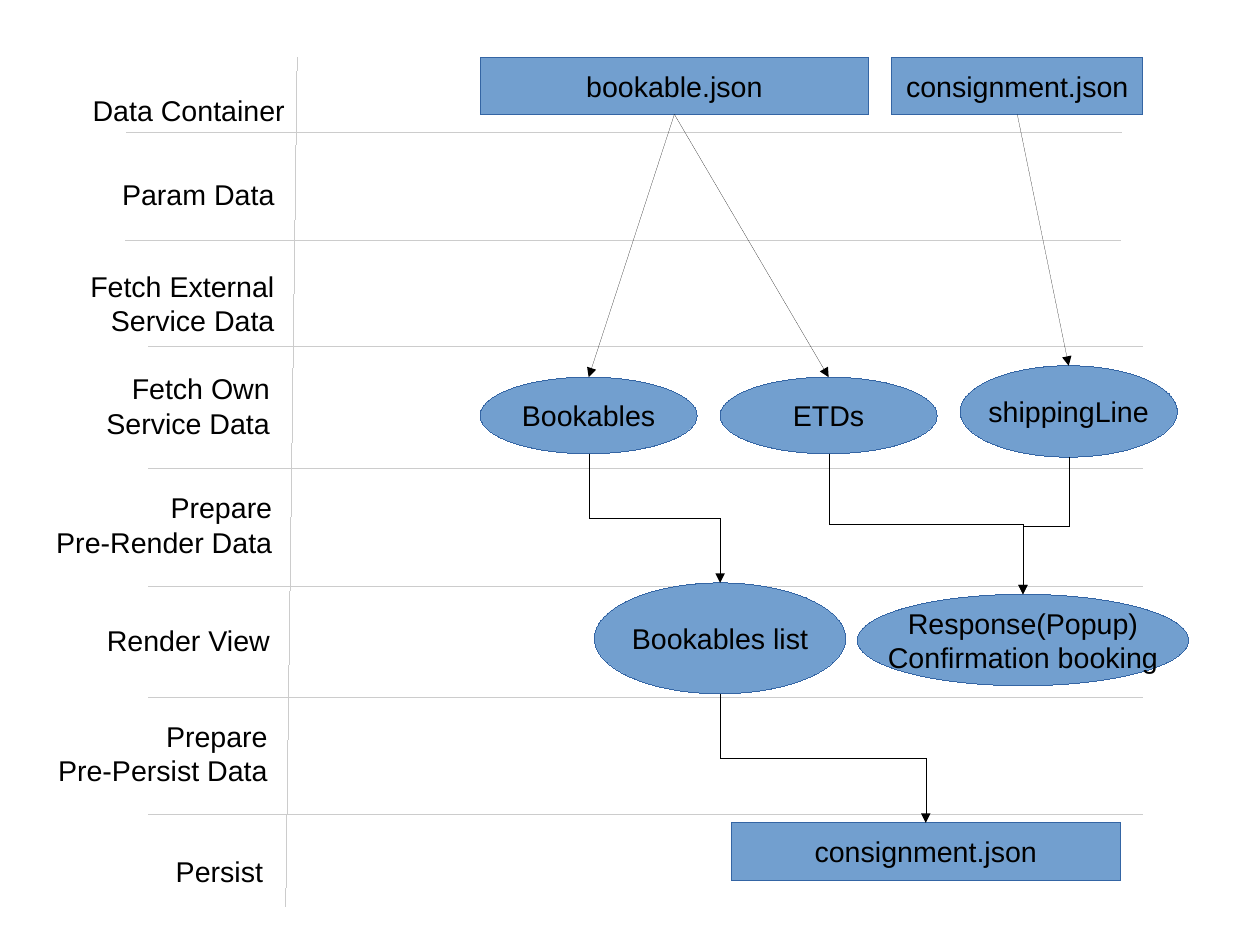
from typing import NamedTuple

from pptx import Presentation
from pptx.dml.color import RGBColor
from pptx.enum.shapes import MSO_CONNECTOR as Link, MSO_SHAPE as Form
from pptx.enum.text import MSO_ANCHOR as Anchor, PP_ALIGN as Align
from pptx.oxml.ns import qn
from pptx.util import Cm, Inches, Pt
from lxml.etree import SubElement

# Grid: square cells, ten columns or rows to the inch
CELL = 0.1
LABEL_COLS = 23
TOP, BOTTOM = 0, 2
BLACK, RULE, FILL, EDGE = "000000", "CCCCCC", "729FCF", "3465A4"


class Label(NamedTuple):
    text: str
    right: float
    row: float
    rows: float


class Divider(NamedTuple):
    col: float
    row: float


class Node(NamedTuple):
    text: str
    form: Form
    col: float
    row: float
    cols: float
    rows: float

    @property
    def center(self) -> float:
        return self.col + self.cols / 2

    @property
    def bottom(self) -> float:
        return self.row + self.rows


LABELS = [
    Label("Data Container", 25.9, 7.6, 4),
    Label("Param Data", 25, 15, 3.8),
    Label("Fetch External\nService Data", 25, 23, 6.6),
    Label("Fetch Own\nService Data", 24.6, 32, 6.6),
    Label("Prepare\nPre-Render Data", 24.8, 42.4, 6.6),
    Label("Render View", 24.6, 54, 3.8),
    Label("Prepare\nPre-Persist Data", 24.4, 62.4, 6.6),
    Label("Persist", 24, 74.2, 3.8),
]
DIVIDER_COLS = 87
DIVIDERS = [
    Divider(11.1, 11.6), Divider(11, 21), Divider(13, 30.3), Divider(13, 41),
    Divider(13, 51.3), Divider(13, 61), Divider(13, 71.3),
]
NODES = {
    "bookable": Node("bookable.json", Form.RECTANGLE, 42, 5, 34, 5),
    "consignment": Node("consignment.json", Form.RECTANGLE, 78, 5, 22, 5),
    "bookables": Node("Bookables", Form.OVAL, 42, 33, 19, 6.7),
    "etds": Node("ETDs", Form.OVAL, 63, 33, 19, 6.7),
    "shipping": Node("shippingLine", Form.OVAL, 84, 32, 19, 8),
    "list": Node("Bookables list", Form.OVAL, 52, 51, 22, 9.7),
    "response": Node("Response(Popup)\nConfirmation booking",
                     Form.OVAL, 75, 52, 29, 8),
    "persisted": Node("consignment.json", Form.RECTANGLE, 64, 72, 34, 5),
}
FETCHES = [("consignment", "shipping"), ("bookable", "etds"), ("bookable", "bookables")]
FLOWS = [("bookables", "list"), ("etds", "response"),
         ("shipping", "response"), ("list", "persisted")]


def grid(cells: float) -> Inches:
    return Inches(cells * CELL)


def color(hex_code: str) -> RGBColor:
    return RGBColor.from_string(hex_code)


def write(frame, text: str, *, align=Align.CENTER, anchor=Anchor.MIDDLE,
          wrap=False, size=18, font="Arial", ink=BLACK) -> None:
    frame.text = text
    frame.word_wrap = wrap
    frame.vertical_anchor = anchor
    for paragraph in frame.paragraphs:
        paragraph.alignment = align
        paragraph.font.size = Pt(size)
        paragraph.font.name = font
        paragraph.font.color.rgb = color(ink)


def set_hairline(shape, ink: str):
    """Colour the stroke; a zero width has to be written out in the XML."""
    shape.line.color.rgb = color(ink)
    stroke = shape._element.spPr.find(qn("a:ln"))
    stroke.set("w", "0")
    return stroke


def draw_label(slide, label: Label) -> None:
    box = slide.shapes.add_textbox(grid(label.right - LABEL_COLS), grid(label.row),
                                   grid(LABEL_COLS), grid(label.rows))
    write(box.text_frame, label.text, align=Align.RIGHT, anchor=Anchor.TOP, wrap=True)


def draw_node(slide, node: Node):
    shape = slide.shapes.add_shape(node.form, grid(node.col), grid(node.row),
                                   grid(node.cols), grid(node.rows))
    shape.shadow.inherit = False
    shape.fill.solid()
    shape.fill.fore_color.rgb = color(FILL)
    set_hairline(shape, EDGE)
    write(shape.text_frame, node.text)
    return shape


def draw_line(slide, x1: float, y1: float, x2: float, y2: float, *,
              ink=RULE, kind=Link.STRAIGHT, arrow=False):
    line = slide.shapes.add_connector(kind, grid(x1), grid(y1), grid(x2), grid(y2))
    stroke = set_hairline(line, ink)
    if arrow:
        SubElement(stroke, qn("a:tailEnd"), type="triangle")
    SubElement(line._element.spPr, qn("a:effectLst"))
    return line


def draw_flow(slide, source: Node, target: Node) -> None:
    """Step down, across and down: an elbow turned by a quarter."""
    across = target.center - source.center
    drop = target.row - source.bottom
    mid_x = (source.center + target.center) / 2
    mid_y = (source.bottom + target.row) / 2
    side = 1 if across > 0 else -1
    elbow = draw_line(slide, mid_x + side * drop / 2, mid_y - abs(across) / 2,
                      mid_x - side * drop / 2, mid_y + abs(across) / 2,
                      ink=BLACK, kind=Link.ELBOW, arrow=True)
    quarter_turn = 270 if across > 0 else 90
    elbow._element.spPr.find(qn("a:xfrm")).set("rot", str(quarter_turn * 60000))


def main() -> None:
    deck = Presentation()
    deck.slide_width = Cm(28)
    deck.slide_height = Cm(21)
    slide = deck.slides.add_slide(deck.slide_layouts[6])

    # Stage lanes and their labels
    for divider in DIVIDERS:
        draw_line(slide, divider.col, divider.row,
                  divider.col + DIVIDER_COLS, divider.row)
    draw_line(slide, 26, 5, 25, 79.3)
    for label in LABELS:
        draw_label(slide, label)

    # Data files, services and views
    drawn = {key: draw_node(slide, node) for key, node in NODES.items()}

    # Straight arrows from files to services
    for source, target in FETCHES:
        start, end = NODES[source], NODES[target]
        arrow = draw_line(slide, start.center, start.bottom, end.center, end.row,
                          ink=BLACK, arrow=True)
        arrow.begin_connect(drawn[source], BOTTOM)
        arrow.end_connect(drawn[target], TOP)

    # Stepped arrows through rendering to storage
    for source, target in FLOWS:
        draw_flow(slide, NODES[source], NODES[target])

    deck.save("out.pptx")


if __name__ == "__main__":
    main()
